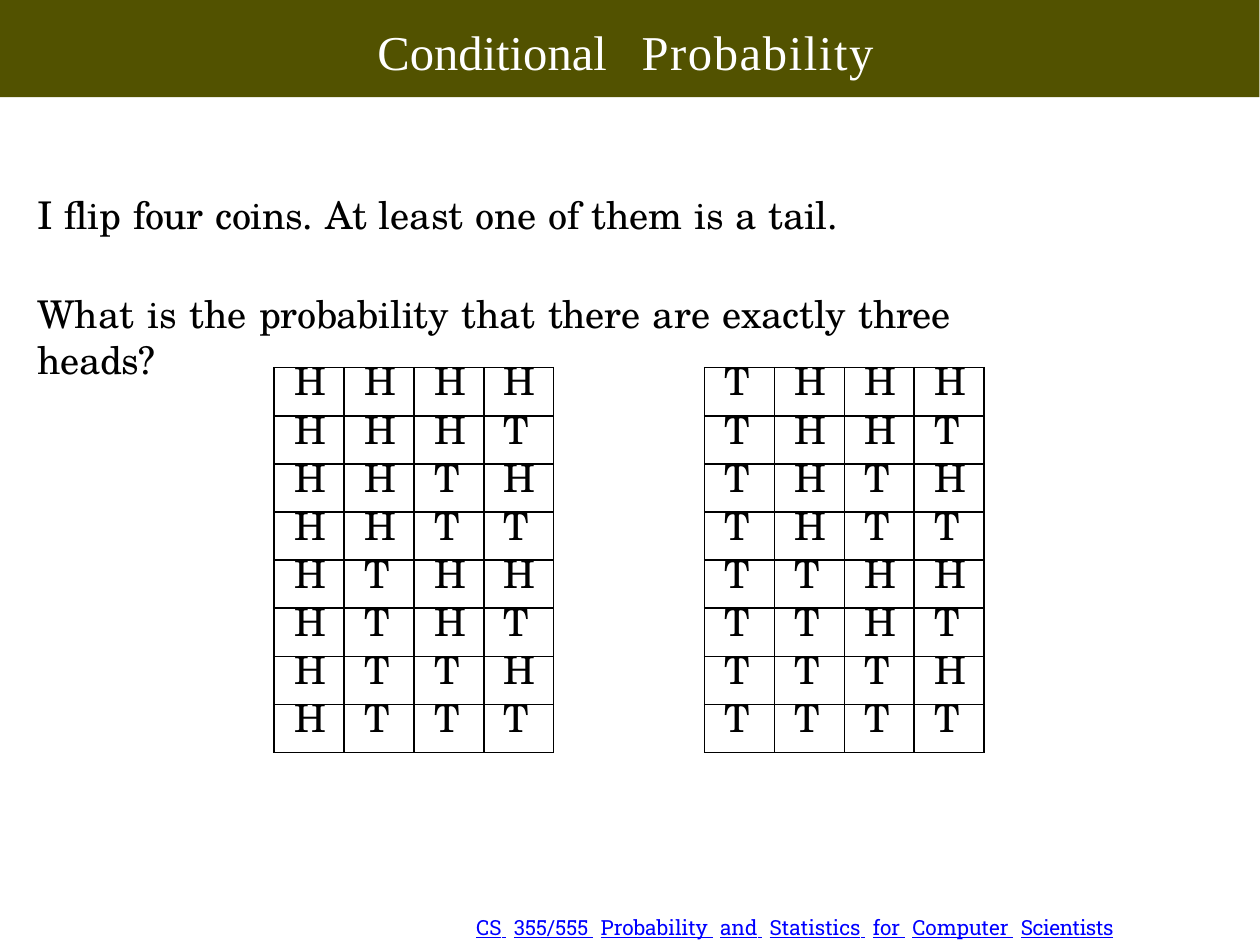
from dataclasses import dataclass
from itertools import product

from lxml import etree
from pptx import Presentation
from pptx.dml.color import RGBColor
from pptx.enum.shapes import MSO_SHAPE
from pptx.enum.text import MSO_ANCHOR, MSO_AUTO_SIZE, PP_ALIGN
from pptx.oxml.ns import qn
from pptx.util import Pt

RECT = MSO_SHAPE.RECTANGLE
TOP = MSO_ANCHOR.TOP
FIXED = MSO_AUTO_SIZE.NONE
LEFT = PP_ALIGN.LEFT


@dataclass(frozen=True)
class Theme:
    band: str = "525200"
    white: str = "FFFFFF"
    black: str = "000000"
    link: str = "0000FF"
    head: str = "Times New Roman"
    body: str = "TeX Gyre Schola"
    foot: str = "Roboto Slab"
    head_size: float = 14
    body_size: float = 11
    foot_size: float = 6
    rule: float = 0.5


@dataclass(frozen=True)
class Run:
    text: str
    track: float = 0


@dataclass(frozen=True)
class Grid:
    left: float
    rows: list


THEME = Theme()
WIDTH, HEIGHT = 363, 272.5
GRID_TOP, COL, ROW = 105.9, 20.14, 13.88


def spread(runs: list, gap: float) -> list:
    out = []
    for item in runs:
        for word in item.text.split():
            if out:
                out.append(Run(" ", gap))
            out.append(Run(word, item.track))
    return out


def write(frame, runs: list, *, font: str, size: float, color: str,
          indent: float = 0, before: float = 0, line: float = 0,
          under: bool = False, more: bool = False) -> None:
    para = frame.add_paragraph() if more else frame.paragraphs[0]
    para.alignment = LEFT
    para.space_before = Pt(before)
    if line:
        para.line_spacing = Pt(line)
    props = para._p.get_or_add_pPr()
    props.set("marL", str(Pt(indent)))
    props.set("indent", "0")
    for item in runs:
        run = para.add_run()
        run.text = item.text
        run.font.name = font
        run.font.size = Pt(size)
        run.font.color.rgb = RGBColor.from_string(color)
        if under:
            run.font.underline = True
        if item.track:
            run._r.get_or_add_rPr().set("spc", str(round(item.track * 100)))


def set_frame(frame, top: float = 0) -> None:
    frame.word_wrap = True
    frame.auto_size = FIXED
    frame.vertical_anchor = TOP
    frame.margin_left = frame.margin_right = frame.margin_bottom = Pt(0)
    frame.margin_top = Pt(top)


def add_box(slide, left: float, top: float, width: float, height: float,
            inset: float = 0):
    box = slide.shapes.add_textbox(Pt(left), Pt(top), Pt(width), Pt(height))
    set_frame(box.text_frame, inset)
    return box.text_frame


def add_head(slide) -> None:
    title = slide.shapes.title
    title.left, title.top = Pt(68.4), Pt(5.04)
    title.width, title.height = Pt(226.08), Pt(19.44)
    set_frame(title.text_frame, 1.3)
    write(title.text_frame,
          [Run("Conditional"), Run(" ", 6.3), Run("Probability", 0.45)],
          font=THEME.head, size=THEME.head_size, color=THEME.white,
          indent=40.3, before=1.4)
    band = slide.shapes.add_shape(RECT, Pt(0), Pt(0), Pt(362.85), Pt(28))
    band.shadow.inherit = False
    band.fill.solid()
    band.fill.fore_color.rgb = RGBColor.from_string(THEME.band)
    band.line.fill.background()
    title._element.addprevious(band._element)


def add_task(slide) -> None:
    frame = add_box(slide, 10.08, 54.2, 285.12, 43.2, 0.9)
    style = dict(font=THEME.body, size=THEME.body_size, color=THEME.black,
                 indent=0.7)
    fact = [Run("I flip"), Run("four coins.", -0.1),
            Run("At least one of them is a"), Run("tail.", -0.1)]
    query = [Run("What is the"), Run("probability", -0.1), Run("that"),
             Run("there", -0.1), Run("are exactly"),
             Run("three heads?", -0.1)]
    write(frame, spread(fact, 0.25), before=0.9, **style)
    write(frame, spread(query, 0.55), before=15.3, more=True, **style)


def set_edges(cell) -> None:
    props = cell._tc.get_or_add_tcPr()
    for side in ("lnL", "lnR", "lnT", "lnB"):
        edge = etree.SubElement(props, qn(f"a:{side}"), w=str(Pt(THEME.rule)))
        fill = etree.SubElement(edge, qn("a:solidFill"))
        etree.SubElement(fill, qn("a:srgbClr"), val=THEME.black)


def add_grid(slide, grid: Grid) -> None:
    count, span = len(grid.rows), len(grid.rows[0])
    table = slide.shapes.add_table(count, span, Pt(grid.left), Pt(GRID_TOP),
                                   Pt(COL * span), Pt(ROW * count)).table
    table.first_row = table.horz_banding = False
    for col in table.columns:
        col.width = Pt(COL)
    for i, coins in enumerate(grid.rows):
        table.rows[i].height = Pt(ROW)
        for j, coin in enumerate(coins):
            cell = table.cell(i, j)
            cell.margin_left = cell.margin_right = Pt(0)
            cell.margin_top = cell.margin_bottom = Pt(0)
            set_edges(cell)
            cell.fill.background()
            write(cell.text_frame, [Run(coin)], font=THEME.body,
                  size=THEME.body_size, color=THEME.black,
                  indent=5.8, line=11.9)


def add_foot(slide) -> None:
    course = [Run("CS 355/555 Probability and Statistics for Computer"),
              Run("Scientists", -0.1)]
    write(add_box(slide, 136.3, 264, 202.32, 7.92), spread(course, 2),
          font=THEME.foot, size=THEME.foot_size, color=THEME.link,
          indent=0.9, line=6.7, under=True)


def main() -> None:
    deck = Presentation()
    deck.slide_width, deck.slide_height = Pt(WIDTH), Pt(HEIGHT)
    slide = deck.slides.add_slide(deck.slide_layouts[5])
    add_head(slide)
    add_task(slide)
    flips = list(product("HT", repeat=4))
    half = len(flips) // 2
    for grid in (Grid(79, flips[:half]), Grid(203, flips[half:])):
        add_grid(slide, grid)
    add_foot(slide)
    deck.save("out.pptx")


if __name__ == "__main__":
    main()
